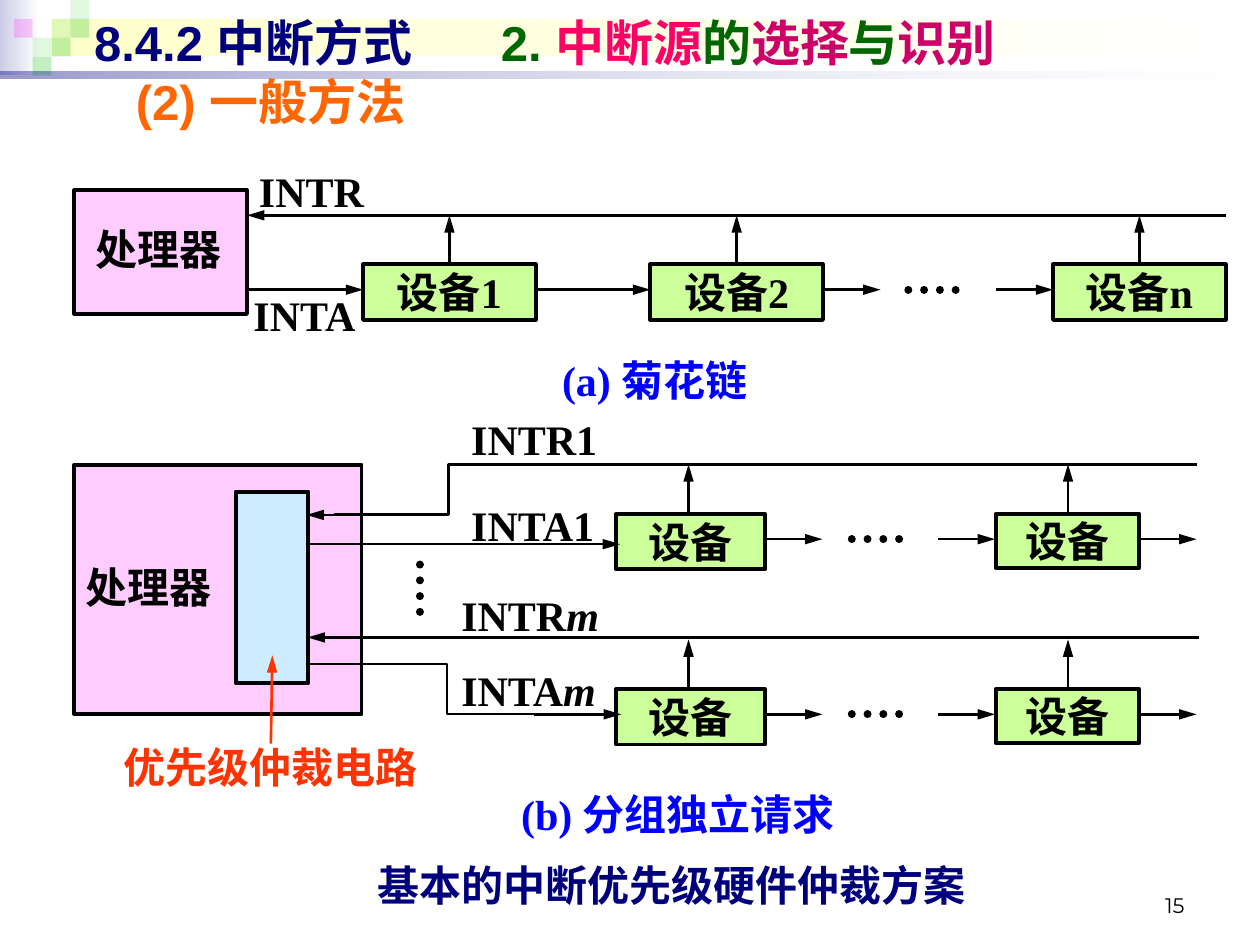
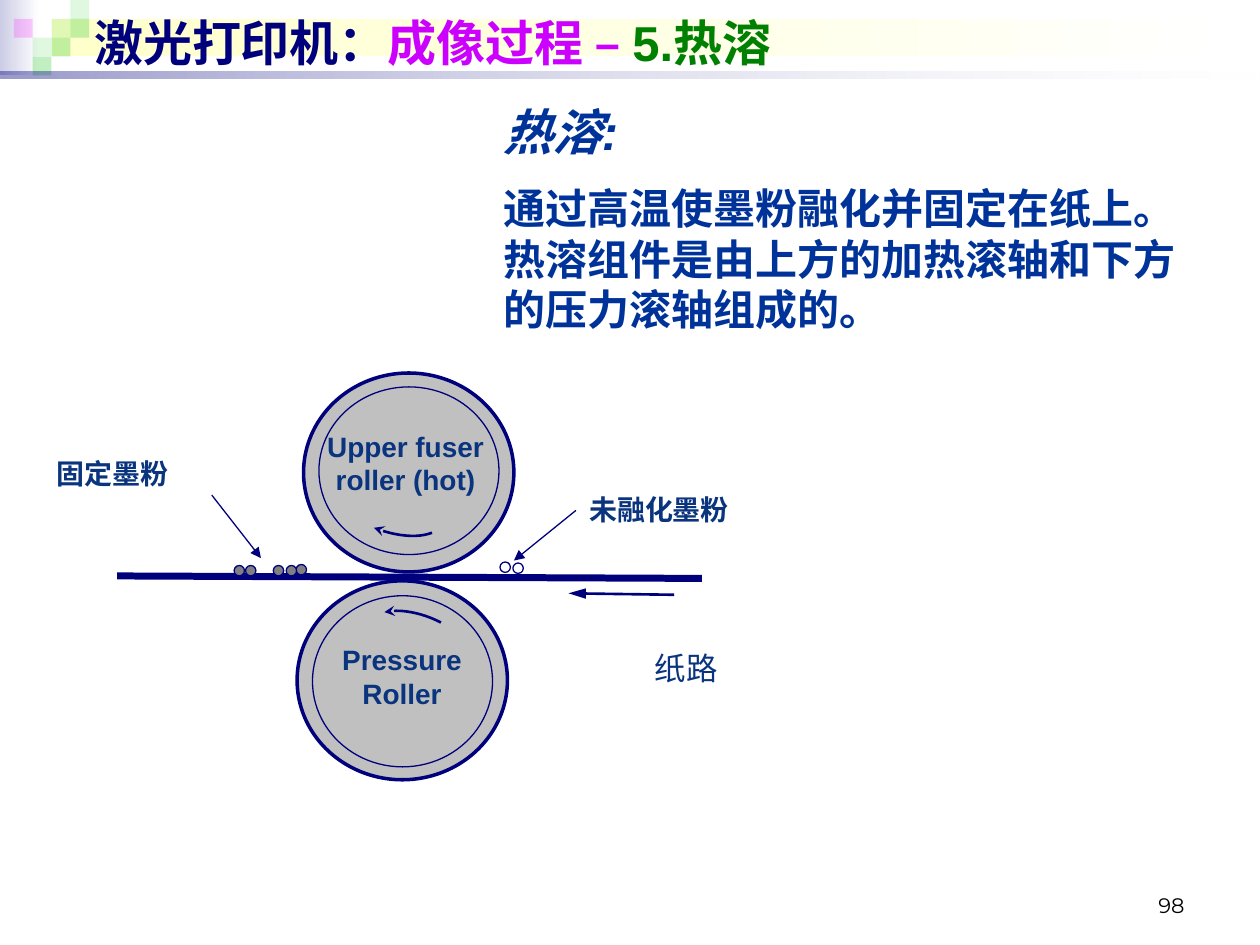
"""Build two lecture pages: interrupt arbitration schemes and laser printer fusing."""
from dataclasses import dataclass
from typing import Optional

import lxml.etree
import pptx
import pptx.dml.color
import pptx.enum.dml
import pptx.enum.lang
import pptx.enum.shapes
import pptx.enum.text
import pptx.oxml.ns
import pptx.util

Cm = pptx.util.Cm
Pt = pptx.util.Pt
Align = pptx.enum.text.PP_ALIGN
Anchor = pptx.enum.text.MSO_ANCHOR
Preset = pptx.enum.shapes.MSO_SHAPE
qn = pptx.oxml.ns.qn


@dataclass(frozen=True)
class Theme:
    navy: str = "00007D"
    black: str = "000000"
    white: str = "FFFFFF"
    lavender: str = "CCCCE6"
    cream: str = "FFFFCC"
    square_green: str = "33CC33"
    square_pink: str = "FF00FF"
    green: str = "006600"
    pink: str = "FF0066"
    crimson: str = "CC0066"
    orange: str = "FF6600"
    red: str = "FF3300"
    blue: str = "0000FF"
    processor: str = "FFCCFF"
    arbiter: str = "CCECFF"
    device: str = "CCFF99"
    violet: str = "CC00FF"
    leaf: str = "008000"
    body: str = "003399"
    caption: str = "0A357E"
    roller: str = "C0C0C0"
    toner: str = "808080"
    sans: str = "Arial"
    serif: str = "Times New Roman"
    footer: str = "Montserrat"
    title_size: int = 28
    text_size: int = 24
    path_size: int = 18
    caption_size: int = 16
    footer_size: int = 12


THEME = Theme()


@dataclass(frozen=True)
class Frame:
    left: float
    top: float
    width: float
    height: float

    def lengths(self) -> tuple:
        return tuple(Cm(v) for v in (self.left, self.top, self.width, self.height))


@dataclass(frozen=True)
class Stroke:
    color: str = THEME.black
    width: float = 1.5
    arrow: str = ""
    arrow_length: str = "lg"
    dotted: bool = False


@dataclass(frozen=True)
class Span:
    text: str
    color: str = THEME.black
    size: int = THEME.text_size
    font: str = THEME.serif
    bold: bool = True
    italic: bool = False


@dataclass(frozen=True)
class Label:
    frame: Frame
    paras: tuple
    align: Align = Align.LEFT
    anchor: Anchor = Anchor.TOP
    inset: bool = False
    gap: float = 0
    tab: float = 0
    rotation: float = 0


PLAIN = Stroke()
ARROW = Stroke(arrow="triangle")
DOTS = Stroke(width=4.5, dotted=True)
BORDER = Stroke(width=2.25)
POINTER = Stroke(THEME.navy, 0.75, "triangle", "med")
TURN = Stroke(THEME.navy, 1.5, "stealth", "med")
OUTLINE = Stroke(THEME.navy, 2)
THIN = Stroke(THEME.navy, 0.75)


def rgb(color: str) -> pptx.dml.color.RGBColor:
    return pptx.dml.color.RGBColor.from_string(color)


def apply_stroke(item, stroke: Stroke) -> None:
    item.line.color.rgb = rgb(stroke.color)
    item.line.width = Pt(stroke.width)
    if stroke.dotted:
        item.line.dash_style = pptx.enum.dml.MSO_LINE.ROUND_DOT
    outline = item._element.spPr.find(qn("a:ln"))
    if stroke.dotted:
        outline.set("cap", "rnd")
    if stroke.arrow:
        lxml.etree.SubElement(outline, qn("a:tailEnd"), type=stroke.arrow, w="med", len=stroke.arrow_length)


def draw_wire(page, start: tuple, end: tuple, stroke: Stroke = ARROW) -> None:
    ends = [Cm(v) for v in (*start, *end)]
    wire = page.shapes.add_connector(pptx.enum.shapes.MSO_CONNECTOR.STRAIGHT, *ends)
    apply_stroke(wire, stroke)
    lxml.etree.SubElement(wire._element.spPr, qn("a:effectLst"))


def draw_polyline(page, points: list, stroke: Stroke) -> None:
    corners = [(Cm(x), Cm(y)) for x, y in points]
    builder = page.shapes.build_freeform(*corners[0])
    builder.add_line_segments(corners[1:], close=False)
    outline = builder.convert_to_shape()
    outline.fill.background()
    outline.shadow.inherit = False
    apply_stroke(outline, stroke)


def draw_curve(page, controls: tuple, steps: int = 12) -> None:
    points = []
    for step in range(steps + 1):
        t = step / steps
        weights = ((1 - t) ** 3, 3 * t * (1 - t) ** 2, 3 * t * t * (1 - t), t ** 3)
        points.append(tuple(sum(w * c[axis] for w, c in zip(weights, controls)) for axis in (0, 1)))
    draw_polyline(page, points, TURN)


def draw_shape(page, preset: Preset, frame: Frame, fill: Optional[str] = None, stroke: Optional[Stroke] = None):
    shape = page.shapes.add_shape(preset, *frame.lengths())
    shape.shadow.inherit = False
    if fill:
        shape.fill.solid()
        shape.fill.fore_color.rgb = rgb(fill)
    else:
        shape.fill.background()
    if stroke:
        apply_stroke(shape, stroke)
    else:
        shape.line.fill.background()
    return shape


def set_opacity(shape, *percents: int) -> None:
    for color, percent in zip(shape._element.spPr.iter(qn("a:srgbClr")), percents):
        lxml.etree.SubElement(color, qn("a:alpha"), val=str(percent * 1000))


def draw_fade(page, frame: Frame, start: str, opacity: tuple = ()) -> None:
    band = draw_shape(page, Preset.RECTANGLE, frame)
    band.fill.gradient()
    band.fill.gradient_angle = 0
    for stop, color in zip(band.fill.gradient_stops, (start, THEME.white)):
        stop.color.rgb = rgb(color)
    set_opacity(band, *opacity)


def write_para(para, spans: tuple, align: Align) -> None:
    para.alignment = align
    for part in spans:
        for index, piece in enumerate(part.text.split("\n")):
            if index:
                para.add_line_break()
            span = para.add_run()
            span.text = piece
            font = span.font
            font.name, font.size = part.font, Pt(part.size)
            font.bold, font.italic = part.bold, part.italic
            font.color.rgb = rgb(part.color)
            font.language_id = pptx.enum.lang.MSO_LANGUAGE_ID.SIMPLIFIED_CHINESE


def draw_label(page, label: Label) -> None:
    box = page.shapes.add_textbox(*label.frame.lengths())
    box.rotation = label.rotation
    text = box.text_frame
    text.word_wrap = True
    text.vertical_anchor = label.anchor
    if not label.inset:
        text.margin_left = text.margin_right = text.margin_top = text.margin_bottom = 0
    for index, spans in enumerate(label.paras):
        para = text.add_paragraph() if index else text.paragraphs[0]
        if index and label.gap:
            para.space_before = Pt(label.gap)
        if label.tab:
            tabs = lxml.etree.SubElement(para._p.get_or_add_pPr(), qn("a:tabLst"))
            lxml.etree.SubElement(tabs, qn("a:tab"), pos=str(Cm(label.tab)), algn="l")
        write_para(para, spans, label.align)


def draw_device(page, frame: Frame, name: str) -> None:
    device = draw_shape(page, Preset.RECTANGLE, frame, THEME.device, BORDER)
    device.text_frame.vertical_anchor = Anchor.MIDDLE
    write_para(device.text_frame.paragraphs[0], (Span(name),), Align.CENTER)


def heading(text: str, color: str, italic: bool = False) -> Span:
    return Span(text, color, THEME.title_size, THEME.sans, italic=italic)


def caption(text: str) -> Span:
    return Span(text, THEME.caption, THEME.caption_size, THEME.sans)


def add_page(deck, title: tuple, number: str, tab: float = 0):
    page = deck.slides.add_slide(deck.slide_layouts[6])
    draw_fade(page, Frame(0, 0, 0.79, 1.52), THEME.lavender)
    draw_fade(page, Frame(1.04, 0.38, 24.26, 0.76), THEME.cream)
    cell = 0.38
    for column, row, color, opacity in (
        (2, 1, THEME.square_green, 15), (3, 0, THEME.square_green, 15), (3, 1, THEME.square_green, 30),
        (1, 2, THEME.square_green, 15), (0, 1, THEME.square_pink, 20), (2, 2, THEME.square_green, 30),
        (1, 3, THEME.square_green, 30),
    ):
        frame = Frame(0.28 + column * cell, row * cell, cell, cell)
        set_opacity(draw_shape(page, Preset.RECTANGLE, frame, color), opacity)
    draw_fade(page, Frame(0, 1.45, 25.4, 0.13), THEME.navy, (40, 10))
    draw_label(page, Label(Frame(1.65, 0.13, 22.86, 1.45), (title,), anchor=Anchor.MIDDLE, inset=True, tab=tab))
    footer = Span(number, size=THEME.footer_size, font=THEME.footer, bold=False)
    draw_label(page, Label(Frame(18.21, 17.35, 5.92, 1.27), ((footer,),), Align.RIGHT, Anchor.BOTTOM, True))
    return page


def draw_daisy_chain(page) -> None:
    bus, acknowledge, top, width, hop = 4.34, 5.84, 5.33, 3.48, 1.16
    draw_shape(page, Preset.RECTANGLE, Frame(1.5, 3.84, width, 2.49), THEME.processor, BORDER)
    for left, name in ((7.32, "设备1"), (13.11, "设备2"), (21.23, "设备n")):
        draw_device(page, Frame(left, top, width, 1.12), name)
        draw_wire(page, (left + width / 2, top), (left + width / 2, bus))
    for start, end in ((4.98, 7.32), (10.8, 13.11), (16.59, 16.59 + hop), (20.07, 20.07 + hop)):
        draw_wire(page, (start, acknowledge), (end, acknowledge))
    draw_wire(page, (18.31, acknowledge), (18.31 + hop, acknowledge), DOTS)
    draw_wire(page, (24.71, bus), (4.98, bus))


def draw_device_group(page, top: float) -> None:
    middle, hop = top + 0.51, 1.16
    for left, width, height in ((12.42, 3, 1.12), (20.07, 2.9, 1.09)):
        draw_device(page, Frame(left, top, width, height), "设备")
        draw_wire(page, (left + 1.46, top), (left + 1.46, top - 1))
    for start in (15.42, 18.9, 22.96):
        draw_wire(page, (start, middle), (start + hop, middle))
    draw_wire(page, (17.17, middle), (17.17 + hop, middle), DOTS)


def draw_grouped_requests(page) -> None:
    draw_shape(page, Preset.RECTANGLE, Frame(1.5, 9.37, 5.79, 5.03), THEME.processor, BORDER)
    draw_shape(page, Preset.RECTANGLE, Frame(4.75, 9.91, 1.47, 3.86), THEME.arbiter, BORDER)
    for top in (10.36, 13.89):
        draw_device_group(page, top)
    draw_polyline(page, [(6.73, 10.37), (9.04, 10.37), (9.04, 9.37), (24.13, 9.37)], PLAIN)
    draw_polyline(page, [(10.77, 14.4), (9.02, 14.4), (9.02, 13.39), (6.22, 13.39)], Stroke(width=1.25))
    for start, end, y in ((7.9, 6.18, 10.38), (6.22, 12.5, 10.97), (24.18, 6.2, 12.85), (10.77, 12.52, 14.4)):
        draw_wire(page, (start, y), (end, y))
    draw_wire(page, (8.46, 11.38), (8.46, 12.4), DOTS)
    draw_wire(page, (5.46, 14.99), (5.49, 13.21), Stroke(THEME.red, arrow="triangle"))


def build_arbitration(deck) -> None:
    title = (
        heading("8.4.2 中断方式\t", THEME.navy), heading("2. ", THEME.green), heading("中断源", THEME.pink),
        heading("的", THEME.green), heading("选择", THEME.crimson), heading("与", THEME.green),
        heading("识别", THEME.crimson),
    )
    page = add_page(deck, title, "15", tab=8.2)
    method = (heading("(2) 一般方法", THEME.orange),)
    draw_label(page, Label(Frame(2.49, 1.32, 22.05, 1.45), (method,), anchor=Anchor.MIDDLE, inset=True))
    draw_daisy_chain(page)
    draw_grouped_requests(page)
    for frame, text, color in (
        (Frame(5.59, 17.32, 15.9, 0.97), "基本的中断优先级硬件仲裁方案", THEME.navy),
        (Frame(9.91, 15.9, 7.52, 0.99), "(b) 分组独立请求", THEME.blue),
        (Frame(10.9, 7.14, 4.6, 1.17), "(a) 菊花链", THEME.blue),
        (Frame(5.11, 3.33, 2.34, 1.02), "INTR", THEME.black),
    ):
        draw_label(page, Label(frame, ((Span(text, color),),), Align.CENTER))
    for left, top in ((1.5, 4.32), (1.3, 11.13)):
        draw_label(page, Label(Frame(left, top, 3.4, 1.4), ((Span("处理器"),),), Align.CENTER, Anchor.MIDDLE))
    index = Span("m", italic=True)
    for frame, spans in (
        (Frame(2.49, 14.94, 6.6, 1.02), (Span("优先级仲裁电路", THEME.red),)),
        (Frame(5.11, 5.84, 2.54, 1.02), (Span("INTA"),)),
        (Frame(9.5, 8.33, 2.79, 1.02), (Span("INTR1"),)),
        (Frame(9.5, 10.06, 2.79, 0.86), (Span("INTA1"),)),
        (Frame(9.3, 11.89, 3.07, 1.02), (Span("INTR"), index)),
        (Frame(9.3, 13.39, 3.07, 0.99), (Span("INTA"), index)),
    ):
        draw_label(page, Label(frame, (spans,), Align.JUSTIFY))


def build_fusing(deck) -> None:
    title = (heading("激光打印机：", THEME.navy), heading("成像过程 – ", THEME.violet), heading("5.热溶", THEME.leaf))
    page = add_page(deck, title, "98")
    story = "通过高温使墨粉融化并固定在纸上。\n热溶组件是由上方的加热滚轴和下方的压力滚轴组成的。"
    paras = ((heading("热溶:", THEME.body, True),), (Span(story, THEME.body, font=THEME.sans),))
    draw_label(page, Label(Frame(9.91, 1.93, 14.81, 5.05), paras, inset=True, gap=12.5))
    draw_wire(page, (2.36, 11.61), (14.15, 11.66), Stroke(THEME.navy, 4))
    for left, top, fill in (
        (10.08, 11.33, None), (10.34, 11.35, None), (4.95, 11.4, THEME.toner), (4.72, 11.4, THEME.toner),
        (5.97, 11.38, THEME.toner), (5.77, 11.4, THEME.toner), (5.51, 11.4, THEME.toner),
    ):
        draw_shape(page, Preset.OVAL, Frame(left, top, 0.21, 0.21), fill, THIN)
    draw_wire(page, (13.59, 11.99), (11.46, 11.96), Stroke(THEME.navy, arrow="triangle"))
    for rim, core, name_frame, names, turn in (
        (Frame(5.99, 11.71, 4.24, 4.01), Frame(6.3, 12.01, 3.63, 3.45), Frame(6.1, 12.83, 4.01, 1.63),
         ("Pressure", "Roller"), ((8.89, 12.55), (8.48, 12.34), (8.05, 12.27), (7.75, 12.34))),
        (Frame(6.12, 7.52, 4.24, 4.01), Frame(6.43, 7.8, 3.63, 3.38), Frame(6.17, 8.53, 4.01, 1.63),
         ("Upper fuser roller (hot)",), ((8.71, 10.74), (8.43, 10.85), (8, 10.82), (7.54, 10.64))),
    ):
        draw_shape(page, Preset.OVAL, rim, THEME.roller, OUTLINE)
        draw_label(page, Label(name_frame, tuple((caption(n),) for n in names), Align.CENTER, inset=True))
        draw_curve(page, turn)
        draw_shape(page, Preset.OVAL, core, stroke=THIN)
    paper = Span("纸路", THEME.caption, THEME.path_size, THEME.sans, False)
    draw_label(page, Label(Frame(12.95, 12.95, 4.24, 1.02), ((paper,),), inset=True, rotation=359.7))
    for frame, text, start, end in (
        (Frame(0.89, 9.07, 4.01, 0.94), "固定墨粉", (4.27, 9.98), (5.26, 11.25)),
        (Frame(11.63, 9.8, 4.5, 0.94), "未融化墨粉", (11.61, 10.29), (10.36, 11.3)),
    ):
        draw_label(page, Label(frame, ((caption(text),),), inset=True))
        draw_wire(page, start, end, POINTER)


def main() -> None:
    deck = pptx.Presentation()
    deck.slide_width, deck.slide_height = Cm(25.4), Cm(19.05)
    build_arbitration(deck)
    build_fusing(deck)
    deck.save("out.pptx")


if __name__ == "__main__":
    main()
